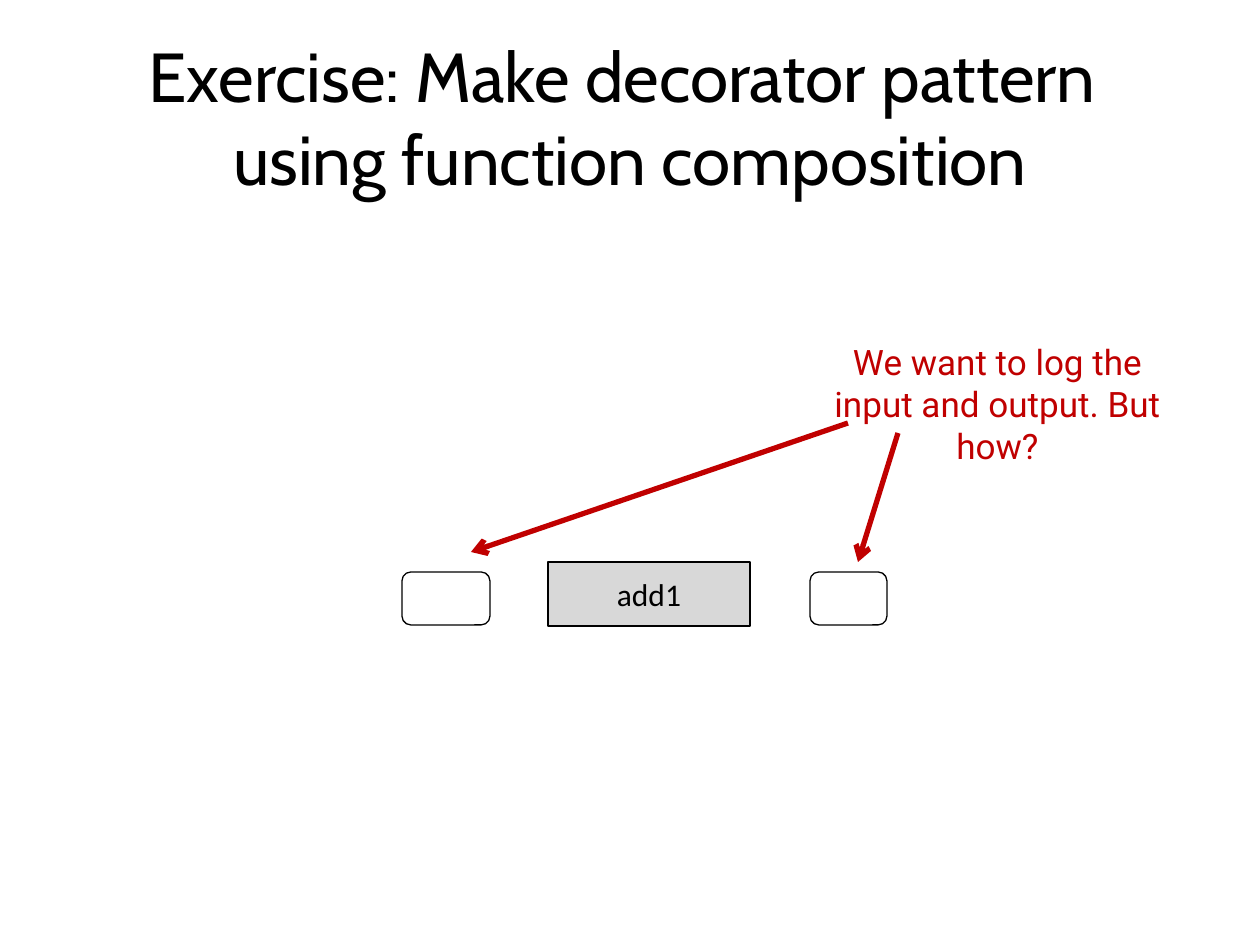
from lxml import etree
from pptx import Presentation
from pptx.dml.color import RGBColor
from pptx.enum.shapes import MSO_CONNECTOR, MSO_SHAPE
from pptx.enum.text import MSO_ANCHOR, MSO_AUTO_SIZE, PP_ALIGN
from pptx.oxml.ns import qn
from pptx.util import Emu, Pt

RECTANGLE, ROUNDED = MSO_SHAPE.RECTANGLE, MSO_SHAPE.ROUNDED_RECTANGLE
STRAIGHT = MSO_CONNECTOR.STRAIGHT
CENTER, MIDDLE = PP_ALIGN.CENTER, MSO_ANCHOR.MIDDLE
BLACK = RGBColor(0x00, 0x00, 0x00)
WHITE = RGBColor(0xFF, 0xFF, 0xFF)
GRAY = RGBColor(0xD8, 0xD8, 0xD8)
RED = RGBColor(0xC0, 0x00, 0x00)

# Content: lengths in px, 126 px to the inch
TITLE_LINES = ["Exercise: Make decorator pattern ", "using function composition"]
TITLE_BOX = (63, 38, 1134, 157)
QUESTION = "We want to log the input and output. But how?"
QUESTION_BOX = (809, 334, 377, 97)
STEPS = [  # kind, box, fill, label
    (RECTANGLE, (548, 562, 202, 64), GRAY, "add1"),
    (ROUNDED, (402, 572, 88, 53), WHITE, ""),
    (ROUNDED, (810, 572, 77, 53), WHITE, ""),
]
ARROWS = [  # from x, from y, to x, to y
    (898, 433, 858, 562),
    (848, 423, 471, 552),
]


def px(value):
    return Emu(round(value * 914400 / 126))


def add_run(paragraph, text, font_name, size, color):
    run = paragraph.add_run()
    run.text = text
    run.font.name = font_name
    run.font.size = Pt(size)
    run.font.color.rgb = color


presentation = Presentation()
presentation.slide_width, presentation.slide_height = px(1260), px(945)
slide = presentation.slides.add_slide(presentation.slide_layouts[5])

# Title
title = slide.shapes.title
title.left, title.top, title.width, title.height = map(px, TITLE_BOX)
title.text_frame.vertical_anchor = MIDDLE
title.text_frame.auto_size = MSO_AUTO_SIZE.NONE
paragraph = title.text_frame.paragraphs[0]
paragraph.alignment = CENTER
for index, line in enumerate(TITLE_LINES):
    if index:
        paragraph.add_line_break()
    add_run(paragraph, line, "Cabin", 39.6, BLACK)

# Function box with its input and output boxes
for kind, box, fill, label in STEPS:
    shape = slide.shapes.add_shape(kind, *map(px, box))
    shape.shadow.inherit = False
    shape.fill.solid()
    shape.fill.fore_color.rgb = fill
    shape.line.color.rgb = BLACK
    shape.line.width = Pt(0.75)
    if label:
        shape.text_frame.vertical_anchor = MIDDLE
        paragraph = shape.text_frame.paragraphs[0]
        paragraph.alignment = CENTER
        paragraph.space_after = Pt(10)
        add_run(paragraph, label, "Calibri", 18, BLACK)

# Question
text_box = slide.shapes.add_textbox(*map(px, QUESTION_BOX))
text_box.text_frame.word_wrap = True
paragraph = text_box.text_frame.paragraphs[0]
paragraph.alignment = CENTER
add_run(paragraph, QUESTION, "Roboto", 20, RED)

# Arrows from the question to the input and output
for ends in ARROWS:
    arrow = slide.shapes.add_connector(STRAIGHT, *map(px, ends))
    arrow.line.color.rgb = RED
    arrow.line.width = Pt(3)
    etree.SubElement(arrow.line._get_or_add_ln(), qn("a:tailEnd"), type="arrow")
    etree.SubElement(arrow._element.spPr, qn("a:effectLst"))

presentation.save("out.pptx")
